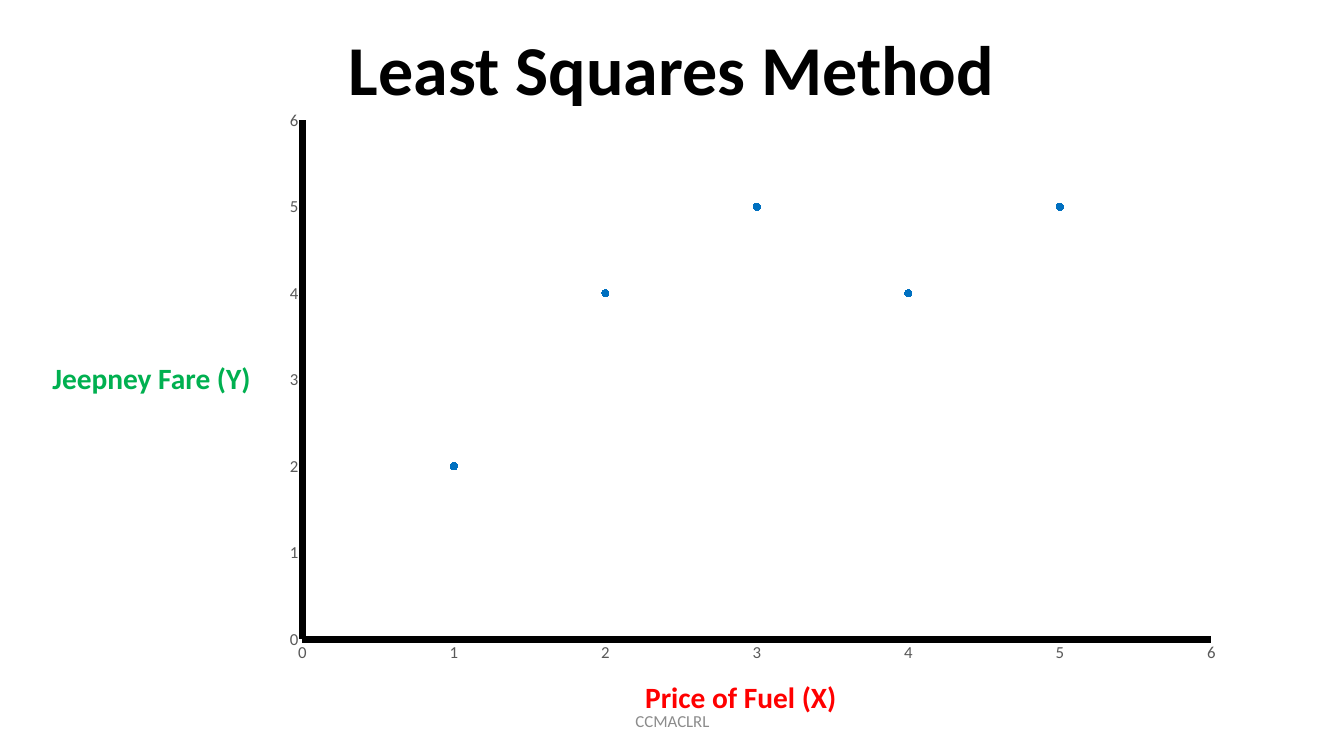
"""Build the Least Squares Method slide with its scatter chart."""
from dataclasses import dataclass

from pptx import Presentation
from pptx.chart.axis import ValueAxis
from pptx.chart.chart import Chart
from pptx.chart.data import XyChartData
from pptx.dml.color import RGBColor
from pptx.enum.chart import XL_CHART_TYPE, XL_MARKER_STYLE, XL_TICK_MARK
from pptx.enum.text import MSO_ANCHOR, PP_ALIGN
from pptx.oxml import parse_xml
from pptx.oxml.ns import nsdecls, qn
from pptx.slide import Slide
from pptx.util import Inches, Pt

SCATTER = XL_CHART_TYPE.XY_SCATTER
CIRCLE = XL_MARKER_STYLE.CIRCLE
NO_TICK = XL_TICK_MARK.NONE
LEFT, CENTER = PP_ALIGN.LEFT, PP_ALIGN.CENTER
TOP, MIDDLE, BOTTOM = MSO_ANCHOR.TOP, MSO_ANCHOR.MIDDLE, MSO_ANCHOR.BOTTOM


@dataclass(frozen=True)
class Theme:
    """Colours, font and type sizes of the slide."""

    font: str = "Calibri"
    black: str = "000000"
    red: str = "FF0000"
    green: str = "00B050"
    blue: str = "0070C0"
    tick: str = "595959"
    gray: str = "8C8C8C"
    title: int = 50
    label: int = 21
    small: int = 12


THEME = Theme()


@dataclass(frozen=True)
class Label:
    """One line of text in a box."""

    text: str
    box: tuple[float, float, float, float]
    size: int
    color: str
    bold: bool = True
    align: PP_ALIGN = LEFT
    anchor: MSO_ANCHOR = TOP
    wrap: bool = False
    space: float = 1.0


LABELS = [
    Label("Least Squares Method", (0.5, 0.36, 12.33, 0.79), THEME.title, THEME.black,
          align=CENTER, anchor=BOTTOM, wrap=True, space=0.9),
    Label("Price of Fuel (X)", (6.3, 6.69, 2.12, 0.45), THEME.label, THEME.red),
    Label("Jeepney Fare (Y)", (0.42, 3.52, 2.19, 0.45), THEME.label, THEME.green),
    Label("CCMACLRL", (4.42, 6.95, 4.5, 0.4), THEME.small, THEME.gray,
          bold=False, align=CENTER, anchor=MIDDLE, wrap=True),
]
POINTS = [(1, 2), (2, 4), (3, 5), (4, 4), (5, 5)]
CHART_BOX = (2.62, 1.08, 9.49, 5.72)
PLOT_BOX = {"x": 0.04, "y": 0.02, "w": 0.95, "h": 0.9}


def add_label(slide: Slide, label: Label) -> None:
    """Add one text label to the slide."""
    frame = slide.shapes.add_textbox(*map(Inches, label.box)).text_frame
    frame.word_wrap = label.wrap
    frame.vertical_anchor = label.anchor
    para = frame.paragraphs[0]
    para.text = label.text
    para.alignment = label.align
    para.line_spacing = label.space
    font = para.font
    font.name, font.size, font.bold = THEME.font, Pt(label.size), label.bold
    font.color.rgb = RGBColor.from_string(label.color)


def style_axis(axis: ValueAxis) -> None:
    """Give an axis its scale, heavy line and tick labels."""
    axis.minimum_scale, axis.maximum_scale, axis.major_unit = 0, 6, 1
    axis.has_major_gridlines = False
    axis.has_title = False
    axis.major_tick_mark = axis.minor_tick_mark = NO_TICK
    axis.format.line.width = Pt(5)
    axis.format.line.color.rgb = RGBColor.from_string(THEME.black)
    font = axis.tick_labels.font
    font.name, font.size = THEME.font, Pt(THEME.small)
    font.color.rgb = RGBColor.from_string(THEME.tick)


def place_plot(chart: Chart) -> None:
    """Fix the inner plot area within the chart."""
    area = chart.element.find(f"{qn('c:chart')}/{qn('c:plotArea')}")
    for old in area.findall(qn("c:layout")):
        area.remove(old)
    modes = '<c:xMode val="edge"/><c:yMode val="edge"/>'
    sizes = "".join(f'<c:{key} val="{val}"/>' for key, val in PLOT_BOX.items())
    area.insert(0, parse_xml(
        f'<c:layout {nsdecls("c")}><c:manualLayout><c:layoutTarget val="inner"/>'
        f"{modes}{sizes}</c:manualLayout></c:layout>"))


def add_scatter(slide: Slide) -> None:
    """Add the scatter chart of fare against fuel price."""
    data = XyChartData()
    series = data.add_series("Series 1")
    for x, y in POINTS:
        series.add_data_point(x, y)
    chart = slide.shapes.add_chart(SCATTER, *map(Inches, CHART_BOX), data).chart
    chart.has_title = chart.has_legend = False
    chart.font.name, chart.font.size = THEME.font, Pt(THEME.small)
    chart.font.color.rgb = RGBColor.from_string(THEME.tick)
    for axis in (chart.category_axis, chart.value_axis):
        style_axis(axis)
    plot = chart.plots[0]
    plot.vary_by_categories = False
    dots = plot.series[0]
    dots.format.line.fill.background()
    mark = dots.marker
    mark.style, mark.size = CIRCLE, 5
    mark.format.fill.solid()
    blue = RGBColor.from_string(THEME.blue)
    mark.format.fill.fore_color.rgb = blue
    mark.format.line.color.rgb = blue
    place_plot(chart)


def main() -> None:
    """Build and save the slide."""
    deck = Presentation()
    deck.slide_width, deck.slide_height = Inches(13.33), Inches(7.5)
    slide = deck.slides.add_slide(deck.slide_layouts[6])
    add_scatter(slide)
    for label in LABELS:
        add_label(slide, label)
    deck.save("out.pptx")


if __name__ == "__main__":
    main()
